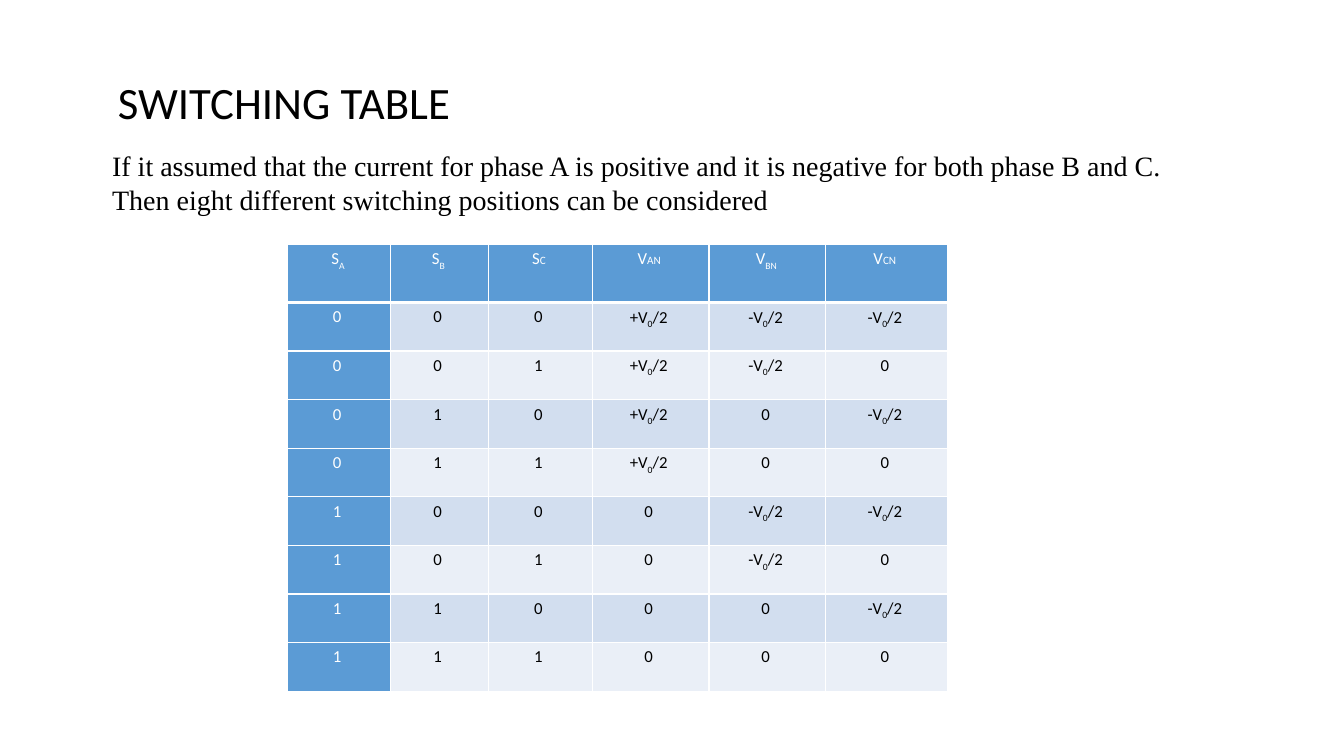
from itertools import product

from lxml import etree
from pptx import Presentation
from pptx.dml.color import RGBColor
from pptx.enum import text
from pptx.oxml import ns
from pptx.util import Pt

TITLE = "SWITCHING TABLE"
INTRO = (
    "If it assumed that the current for phase A is positive and it is negative "
    "for both phase B and C. Then eight different switching positions can be considered"
)
NORMAL, SUBSCRIPT, SMALL = "normal", "subscript", "small"
HEADER = [
    [("S", NORMAL), ("A ", SUBSCRIPT)],
    [("S", NORMAL), ("B ", SUBSCRIPT)],
    [("S", NORMAL), ("C ", SMALL)],
    [("V", NORMAL), ("AN ", SMALL)],
    [("V", NORMAL), ("BN ", SUBSCRIPT)],
    [("V", NORMAL), ("CN", SMALL), (" ", NORMAL)],
]
PHASE_SIGNS = "+--"
COLUMN_WIDTHS = [73.5, 70, 74, 83.5, 83.5, 87]
HEADER_HEIGHT, ROW_HEIGHT = 41.6, 34.7
TABLE_LEFT, TABLE_TOP = 205.5, 174.5

BLACK = RGBColor(0x00, 0x00, 0x00)
WHITE = RGBColor(0xFF, 0xFF, 0xFF)
BLUE = RGBColor(0x5B, 0x9B, 0xD5)
BAND_DARK = RGBColor(0xD2, 0xDE, 0xEF)
BAND_LIGHT = RGBColor(0xEA, 0xEF, 0xF7)


def voltage(sign, switch):
    if switch:
        return [("0 ", NORMAL)]
    return [(sign + "V", NORMAL), ("0", SUBSCRIPT), ("/2 ", NORMAL)]


def switching_row(switches):
    states = [[(f"{switch} ", NORMAL)] for switch in switches]
    return states + [voltage(*pair) for pair in zip(PHASE_SIGNS, switches)]


def format_run(run, size, name, color):
    run.font.size = Pt(size)
    run.font.name = name
    run.font.bold = False
    run.font.color.rgb = color


def write_text(shape, content, box, size, name):
    shape.left, shape.top, shape.width, shape.height = map(Pt, box)
    frame = shape.text_frame
    frame.text = content
    frame.word_wrap = True
    frame.auto_size = text.MSO_AUTO_SIZE.NONE
    frame.vertical_anchor = text.MSO_ANCHOR.TOP
    paragraph = frame.paragraphs[0]
    paragraph.alignment = text.PP_ALIGN.LEFT
    paragraph.line_spacing = 1.0
    paragraph.space_before = Pt(0)
    format_run(paragraph.runs[0], size, name, BLACK)


def add_borders(cell, widths):
    properties = cell._tc.get_or_add_tcPr()
    for side, width in widths.items():
        line = etree.SubElement(properties, ns.qn(f"a:ln{side}"), w=str(Pt(width)))
        fill = etree.SubElement(line, ns.qn("a:solidFill"))
        etree.SubElement(fill, ns.qn("a:srgbClr"), val=str(WHITE))


def fill_cell(cell, parts, row, column):
    heading = row == 0 or column == 0
    add_borders(cell, {"L": 1, "R": 1, "T": 3 if row == 1 else 1, "B": 3 if row == 0 else 1})
    cell.fill.solid()
    cell.fill.fore_color.rgb = BLUE if heading else BAND_DARK if row % 2 else BAND_LIGHT
    cell.margin_left = cell.margin_right = Pt(5.76)
    cell.margin_top, cell.margin_bottom = Pt(2.2), Pt(0)
    paragraph = cell.text_frame.paragraphs[0]
    paragraph.alignment = text.PP_ALIGN.CENTER
    paragraph.line_spacing = 1.07
    for content, style in parts:
        run = paragraph.add_run()
        run.text = content
        format_run(run, 8 if style == SMALL else 12, "Calibri", WHITE if heading else BLACK)
        if style == SUBSCRIPT:
            run._r.get_or_add_rPr().set("baseline", "-25000")


def add_switching_table(slide):
    rows = [HEADER] + [switching_row(switches) for switches in product((0, 1), repeat=3)]
    heights = [HEADER_HEIGHT] + [ROW_HEIGHT] * (len(rows) - 1)
    table = slide.shapes.add_table(
        len(rows), len(HEADER), Pt(TABLE_LEFT), Pt(TABLE_TOP),
        Pt(sum(COLUMN_WIDTHS)), Pt(sum(heights)),
    ).table
    table.first_row = table.first_col = True
    for column, width in zip(table.columns, COLUMN_WIDTHS):
        column.width = Pt(width)
    for row, (height, entries) in enumerate(zip(heights, rows)):
        table.rows[row].height = Pt(height)
        for column, parts in enumerate(entries):
            fill_cell(table.cell(row, column), parts, row, column)


def main():
    presentation = Presentation()
    presentation.slide_width, presentation.slide_height = Pt(960), Pt(540)
    slide = presentation.slides.add_slide(presentation.slide_layouts[5])
    add_switching_table(slide)
    intro = slide.shapes.add_textbox(0, 0, 0, 0)
    write_text(intro, INTRO, (73, 102.5, 780.5, 55.5), 20, "Times New Roman")
    write_text(slide.shapes.title, TITLE, (77, 49.5, 309, 46), 32, "Calibri")
    presentation.save("out.pptx")


if __name__ == "__main__":
    main()
